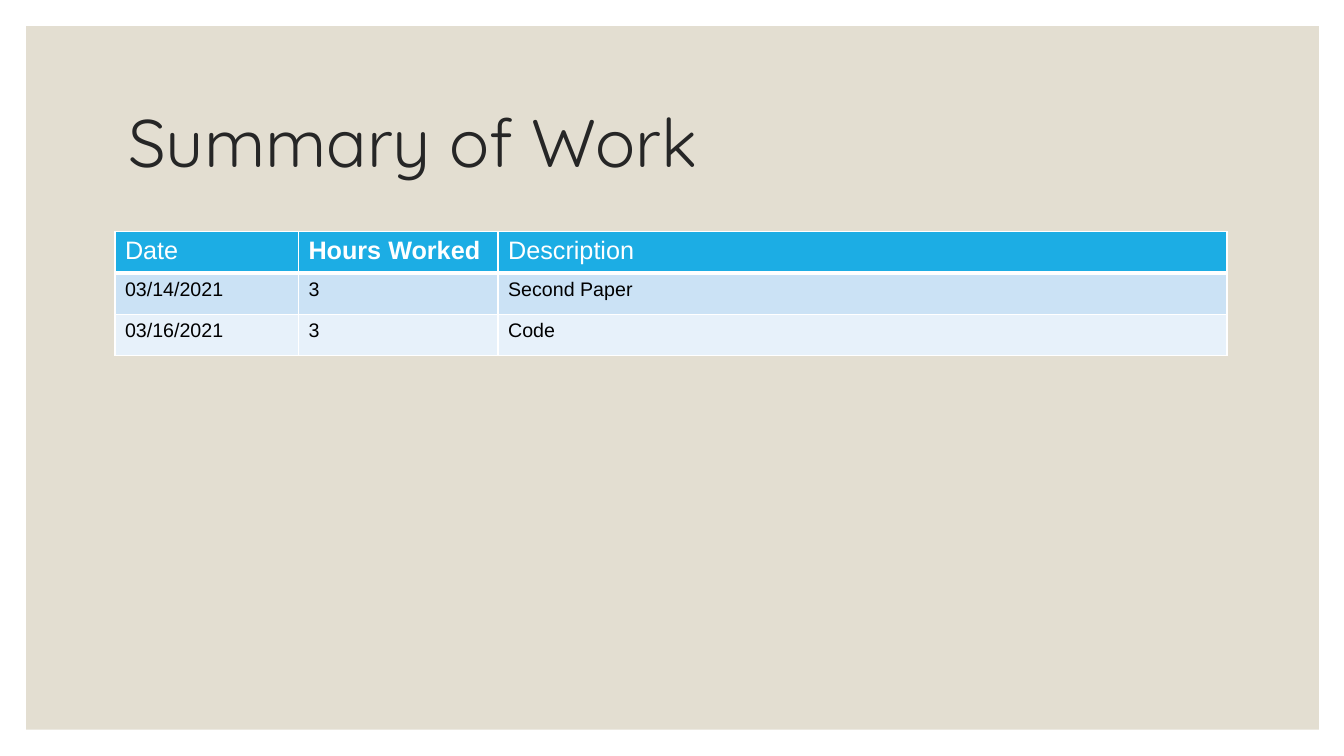
from lxml import etree
from pptx import Presentation
from pptx.dml.color import RGBColor
from pptx.enum.shapes import MSO_SHAPE
from pptx.enum.text import MSO_ANCHOR, PP_ALIGN
from pptx.oxml.ns import qn
from pptx.util import Inches, Pt

# Content
TITLE = "Summary of Work"
ROWS = [
    ("Date", "Hours Worked", "Description"),
    ("03/14/2021", "3", "Second Paper"),
    ("03/16/2021", "3", "Code"),
]
BOLD_HEADER = "Hours Worked"

# Layout and colours
COL_WIDTHS = (1.82, 1.98, 7.23)
ROW_HEIGHT = 0.41
SAND = RGBColor(0xE3, 0xDE, 0xD1)
INK = RGBColor(0x26, 0x26, 0x26)
BLACK = RGBColor(0, 0, 0)
WHITE = RGBColor(0xFF, 0xFF, 0xFF)
ROW_FILLS = (
    RGBColor(0x1C, 0xAD, 0xE4),
    RGBColor(0xCB, 0xE2, 0xF5),
    RGBColor(0xE7, 0xF1, 0xFA),
)


def format_run(r, color, **font):
    for name, value in font.items():
        setattr(r.font, name, value)
    r.font.color.rgb = color


def set_borders(cell, widths):
    """Draw white cell borders; widths maps L, R, T, B to points."""
    tcPr = cell._tc.get_or_add_tcPr()
    for i, (side, width) in enumerate(widths.items()):
        ln = etree.Element(qn(f"a:ln{side}"), w=str(Pt(width)))
        fill = etree.SubElement(ln, qn("a:solidFill"))
        etree.SubElement(fill, qn("a:srgbClr"), val=str(WHITE))
        tcPr.insert(i, ln)


prs = Presentation()
prs.slide_width, prs.slide_height = Inches(13.33), Inches(7.5)
s = prs.slides.add_slide(prs.slide_layouts[5])
s.background.fill.solid()
s.background.fill.fore_color.rgb = WHITE

# Title
title = s.shapes.title
title.left, title.top = Inches(1.17), Inches(0.7)
title.width, title.height = Inches(11), Inches(1.5)
tf = title.text_frame
tf.vertical_anchor = MSO_ANCHOR.MIDDLE
p = tf.paragraphs[0]
p.alignment, p.line_spacing = PP_ALIGN.LEFT, 0.9
r = p.add_run()
r.text = TITLE
format_run(r, INK, name="Quicksand", size=Pt(48))

# Sand panel behind the title
panel = s.shapes.add_shape(MSO_SHAPE.RECTANGLE, Inches(0.26), Inches(0.26),
                           Inches(12.82), Inches(6.98))
panel.shadow.inherit = False
panel.fill.solid()
panel.fill.fore_color.rgb = SAND
panel.line.fill.background()
title.element.addprevious(panel.element)

# Work table
table = s.shapes.add_table(len(ROWS), len(COL_WIDTHS), Inches(1.14), Inches(2.3),
                           Inches(sum(COL_WIDTHS)),
                           Inches(ROW_HEIGHT * len(ROWS))).table
table.horz_banding = False
table.first_row = False
for column, width in zip(table.columns, COL_WIDTHS):
    column.width = Inches(width)
for i, row in enumerate(ROWS):
    table.rows[i].height = Inches(ROW_HEIGHT)
    header = i == 0
    for j, text in enumerate(row):
        cell = table.cell(i, j)
        cell.fill.solid()
        cell.fill.fore_color.rgb = ROW_FILLS[i]
        set_borders(cell, {"L": 1, "R": 1, "T": 3 if i == 1 else 1,
                           "B": 3 if header else 1})
        r = cell.text_frame.paragraphs[0].add_run()
        r.text = text
        format_run(r, WHITE if header else BLACK, name="Arial",
                   size=Pt(18 if header else 14), bold=text == BOLD_HEADER)

prs.save("out.pptx")
